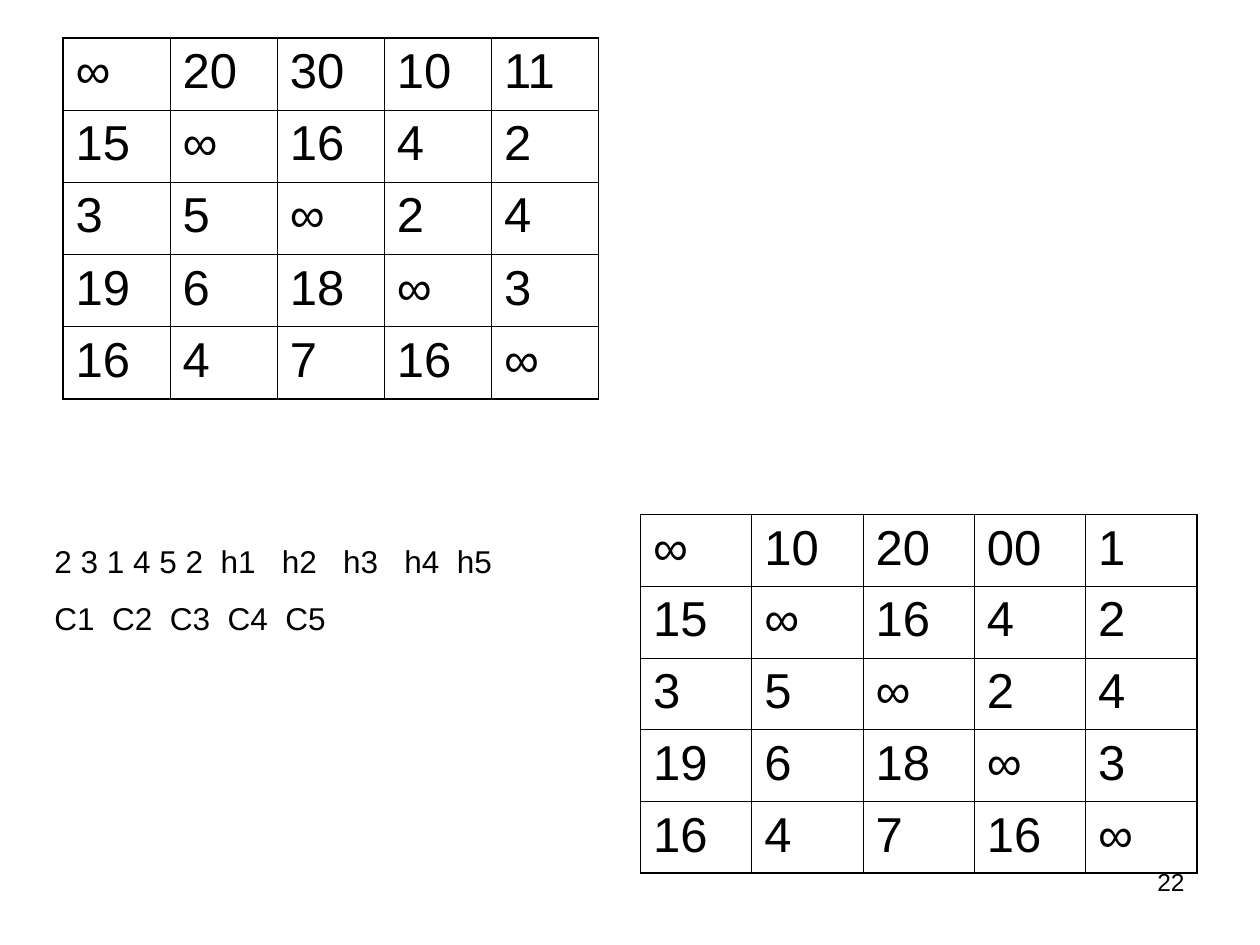
from lxml.etree import SubElement
from pptx import Presentation
from pptx.dml.color import RGBColor
from pptx.enum.text import PP_ALIGN as Align
from pptx.oxml.ns import qn
from pptx.util import Pt

BLACK = "000000"
INNER_LINE, OUTER_LINE = 0.45, 1.08

COST_ROWS = [
    ["15", "∞", "16", "4", "2"],
    ["3", "5", "∞", "2", "4"],
    ["19", "6", "18", "∞", "3"],
    ["16", "4", "7", "16", "∞"],
]
COST_MATRIX = [["∞", "20", "30", "10", "11"]] + COST_ROWS
REDUCED_MATRIX = [["∞", "10", "20", "00", "1"]] + COST_ROWS

TOUR_LINES = [
    (["2 3 1 4 5 2", "h1", "h2", "h3", "h4", "h5"], [95, 130, 165, 200, 230]),
    (["C1", "C2", "C3", "C4", "C5"], [33 * step for step in range(1, 5)]),
]


def color(hex_string):
    return RGBColor.from_string(hex_string)


def add_run(paragraph, text, size):
    run = paragraph.add_run()
    run.text = text
    run.font.name = "Arial"
    run.font.size = Pt(size)
    run.font.color.rgb = color(BLACK)


def set_border(cell, side, width):
    """Draw one side of a cell: L, R, T or B, called in that order."""
    line = SubElement(cell._tc.get_or_add_tcPr(), qn(f"a:ln{side}"), w=str(Pt(width)))
    fill = SubElement(line, qn("a:solidFill"))
    SubElement(fill, qn("a:srgbClr"), val=BLACK)


def add_matrix(slide, values, left, top, width, height):
    last_row, last_column = len(values) - 1, len(values[0]) - 1
    table = slide.shapes.add_table(
        last_row + 1, last_column + 1, Pt(left), Pt(top), Pt(width), Pt(height)
    ).table
    table.first_row = table.horz_banding = False
    for row, row_values in enumerate(values):
        for column, value in enumerate(row_values):
            cell = table.cell(row, column)
            outer_sides = {
                "L": column == 0,
                "R": column == last_column,
                "T": row == 0,
                "B": row == last_row,
            }
            for side, is_outer in outer_sides.items():
                set_border(cell, side, OUTER_LINE if is_outer else INNER_LINE)
            cell.fill.background()
            add_run(cell.text_frame.paragraphs[0], value, 28)


def add_text_frame(slide, left, top, width, height):
    box = slide.shapes.add_textbox(Pt(left), Pt(top), Pt(width), Pt(height))
    box.text_frame.word_wrap = True
    return box.text_frame


def add_tab_stops(paragraph, positions):
    tab_list = SubElement(paragraph._p.get_or_add_pPr(), qn("a:tabLst"))
    for position in positions:
        SubElement(tab_list, qn("a:tab"), pos=str(Pt(position)), algn="l")


def add_tour(slide, left, top, width, height):
    """Place the tour and its labels, with the labels set on tab stops."""
    frame = add_text_frame(slide, left, top, width, height)
    for index, (labels, stops) in enumerate(TOUR_LINES):
        paragraph = frame.add_paragraph() if index else frame.paragraphs[0]
        add_tab_stops(paragraph, stops)
        if index:
            paragraph.space_before = Pt(11.2)
        add_run(paragraph, "\t".join(labels), 18)


def add_slide_number(slide, number, left, top, width, height):
    paragraph = add_text_frame(slide, left, top, width, height).paragraphs[0]
    paragraph.alignment = Align.RIGHT
    add_run(paragraph, number, 14)


def main():
    presentation = Presentation()
    presentation.slide_width, presentation.slide_height = Pt(720), Pt(540)
    slide = presentation.slides.add_slide(presentation.slide_layouts[6])
    add_matrix(slide, COST_MATRIX, 36, 21.6, 306, 206.5)
    add_matrix(slide, REDUCED_MATRIX, 366, 294, 318, 205)
    add_tour(slide, 24, 306, 312, 62)
    add_slide_number(slide, "22", 516, 492, 168, 37.5)
    presentation.save("out.pptx")


if __name__ == "__main__":
    main()
